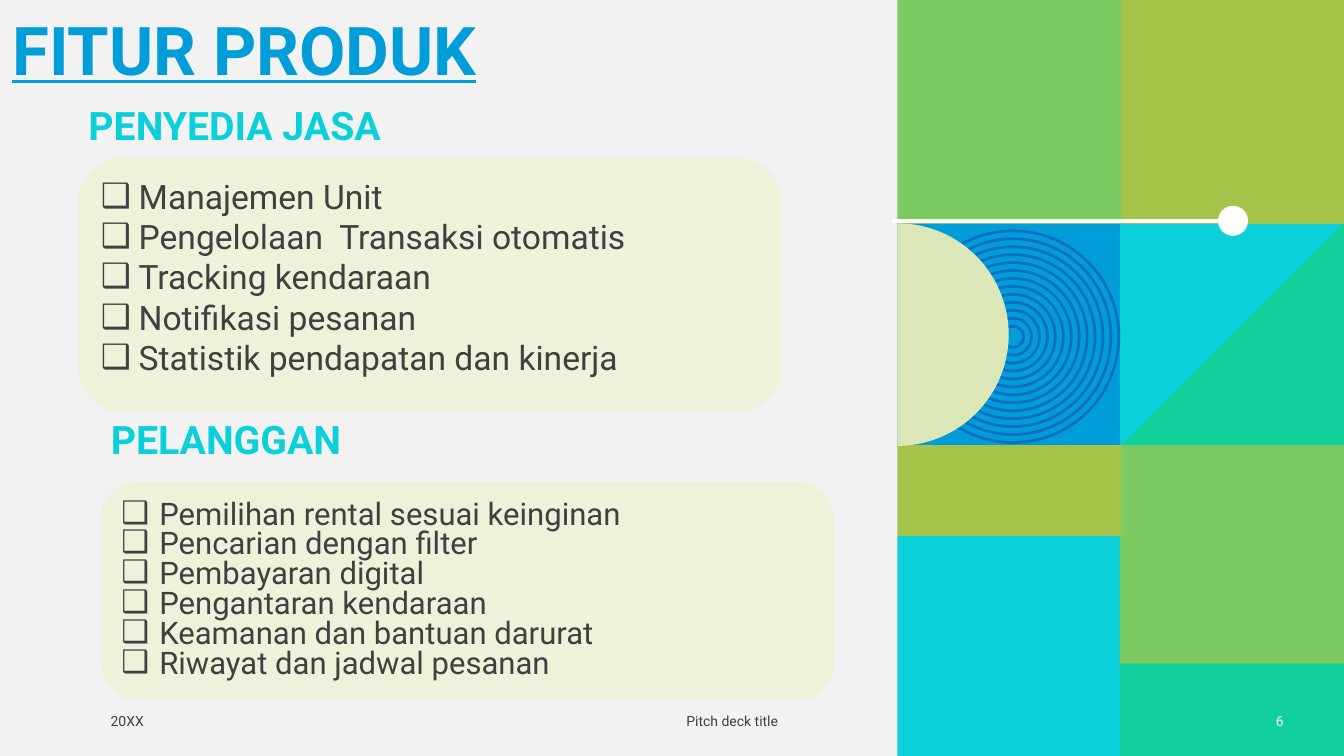
import math
from lxml import etree
from pptx import Presentation
from pptx import util as u
from pptx.dml.color import RGBColor
from pptx.enum import shapes, text
from pptx.oxml.ns import qn

Pt = u.Pt
MSO = shapes.MSO_SHAPE
TOP, MIDDLE = text.MSO_ANCHOR.TOP, text.MSO_ANCHOR.MIDDLE
LEFT, CENTER, RIGHT = text.PP_ALIGN.LEFT, text.PP_ALIGN.CENTER, text.PP_ALIGN.RIGHT
BLUE, CYAN, TEAL = "009DD9", "0BD0D9", "10CF9B"
GREEN, OLIVE, WHITE, DARK = "7CCA62", "A5C249", "FFFFFF", "404040"


def rgb(hex_str):
    return RGBColor.from_string(hex_str)


def add_text(sp, box, lines, size, color, anchor=TOP, align=LEFT, bold=False, spacing=1.0):
    """Place a text shape, write one paragraph per line and return them."""
    sp.left, sp.top, sp.width, sp.height = [Pt(v) for v in box]
    tf = sp.text_frame
    tf.word_wrap = True
    tf.auto_size = text.MSO_AUTO_SIZE.NONE
    tf.vertical_anchor = anchor
    for i, line in enumerate(lines):
        p = tf.paragraphs[0] if i == 0 else tf.add_paragraph()
        p.alignment, p.line_spacing, p.space_before = align, spacing, Pt(0)
        r = p.add_run()
        r.text = line
        r.font.name, r.font.size, r.font.bold = "Roboto", Pt(size), bold
        r.font.color.rgb = rgb(color)
    return tf.paragraphs


prs = Presentation()
prs.slide_width, prs.slide_height = Pt(960), Pt(540)
s = prs.slides.add_slide(prs.slide_layouts[4])
s.background.fill.solid()
s.background.fill.fore_color.rgb = rgb("F2F2F2")
ph = {sp.placeholder_format.idx: sp for sp in s.placeholders}

# Title
title = add_text(ph[0], (1.5, 8.5, 536, 104), ["FITUR PRODUK"], 48, BLUE, bold=True, spacing=0.9)
title[0].runs[0].font.underline = True

# Section headings
for idx, box, heading in [(1, (56, 78.5, 252, 29), "PENYEDIA JASA"),
                          (3, (72, 302.5, 252, 29), "PELANGGAN")]:
    add_text(ph[idx], box, [heading], 28, CYAN, bold=True, spacing=Pt(24))

# Feature lists on rounded cards
provider = ["Manajemen Unit", "Pengelolaan  Transaksi otomatis", "Tracking kendaraan",
            "Notifikasi pesanan", "Statistik pendapatan dan kinerja"]
customer = ["Pemilihan rental sesuai keinginan", "Pencarian dengan filter",
            "Pembayaran digital", "Pengantaran kendaraan",
            "Keamanan dan bantuan darurat", "Riwayat dan jadwal pesanan"]
for idx, box, items, size, anchor, spacing in [
        (2, (56, 113, 502, 181), provider, 24, TOP, 1.0),
        (4, (72, 344, 524, 156), customer, 22.2, MIDDLE, 0.8)]:
    sp = ph[idx]
    paragraphs = add_text(sp, box, items, size, DARK, anchor, spacing=spacing)
    geom = etree.SubElement(sp._element.spPr, qn("a:prstGeom"), prst="roundRect")
    etree.SubElement(geom, qn("a:avLst"))
    sp.fill.solid()
    sp.fill.fore_color.rgb = rgb("EDF3DB")
    for p in paragraphs:
        pPr = p._p.get_or_add_pPr()
        pPr.set("marL", str(Pt(27)))
        pPr.set("indent", str(-Pt(27)))
        etree.SubElement(pPr, qn("a:buChar"), char="❑")

# Mosaic tiles, two columns
COL1, COL2, TILE = 641, 800, 160
for kind, x, y, h, color in [
        (MSO.RECTANGLE, COL1, 159, TILE, BLUE),
        (MSO.RECTANGLE, COL2, 159, TILE, TEAL),
        (MSO.RIGHT_TRIANGLE, COL2, 159, TILE, CYAN),
        (MSO.RECTANGLE, COL2, 0, TILE, OLIVE),
        (MSO.RECTANGLE, COL1, 0, TILE, GREEN),
        (MSO.RECTANGLE, COL1, 383, 157, CYAN),
        (MSO.RECTANGLE, COL2, 318, TILE, GREEN),
        (MSO.RECTANGLE, COL2, 474, 66, TEAL),
        (MSO.RECTANGLE, COL1, 318, 65, OLIVE)]:
    sp = s.shapes.add_shape(kind, Pt(x), Pt(y), Pt(TILE), Pt(h))
    sp.shadow.inherit = False
    sp.fill.solid()
    sp.fill.fore_color.rgb = rgb(color)
    sp.line.fill.background()
    if kind == MSO.RIGHT_TRIANGLE:
        sp.rotation = 90

# Concentric rings
for i in range(13):
    d = 151.2 - 11.34 * i
    sp = s.shapes.add_shape(MSO.OVAL, Pt(723.6 - d / 2), Pt(240.5 - d / 2), Pt(d), Pt(d))
    sp.shadow.inherit = False
    sp.fill.background()
    sp.line.color.rgb = rgb("0F6FC6")
    sp.line.width = Pt(2)

# Half disc
R, CY = 79.5, 239
arc = [(Pt(COL1 + R * math.cos(math.radians(a))), Pt(CY + R * math.sin(math.radians(a))))
       for a in range(-90, 91, 2)]
fb = s.shapes.build_freeform(*arc[0])
fb.add_line_segments(arc[1:], close=True)
half = fb.convert_to_shape()
half.shadow.inherit = False
half.fill.solid()
half.fill.fore_color.rgb = rgb("DBE7B6")
half.line.fill.background()

# White line with round knob
line = s.shapes.add_connector(shapes.MSO_CONNECTOR.STRAIGHT, Pt(637), Pt(157.7), Pt(875), Pt(157.7))
line.line.color.rgb = rgb(WHITE)
line.line.width = Pt(3)
etree.SubElement(line._element.spPr, qn("a:effectLst"))
knob = s.shapes.add_shape(MSO.OVAL, Pt(870), Pt(147), Pt(21.5), Pt(21.5))
knob.shadow.inherit = False
knob.fill.solid()
knob.fill.fore_color.rgb = rgb(WHITE)
knob.line.fill.background()

# Footer
for x, w, label, color, align in [(72, 86, "20XX", DARK, LEFT),
                                  (433, 180, "Pitch deck title", DARK, CENTER),
                                  (888, 36, "6", WHITE, RIGHT)]:
    box = (x, 500.5, w, 29)
    sp = s.shapes.add_textbox(*[Pt(v) for v in box])
    add_text(sp, box, [label], 10, color, MIDDLE, align)

prs.save("out.pptx")
